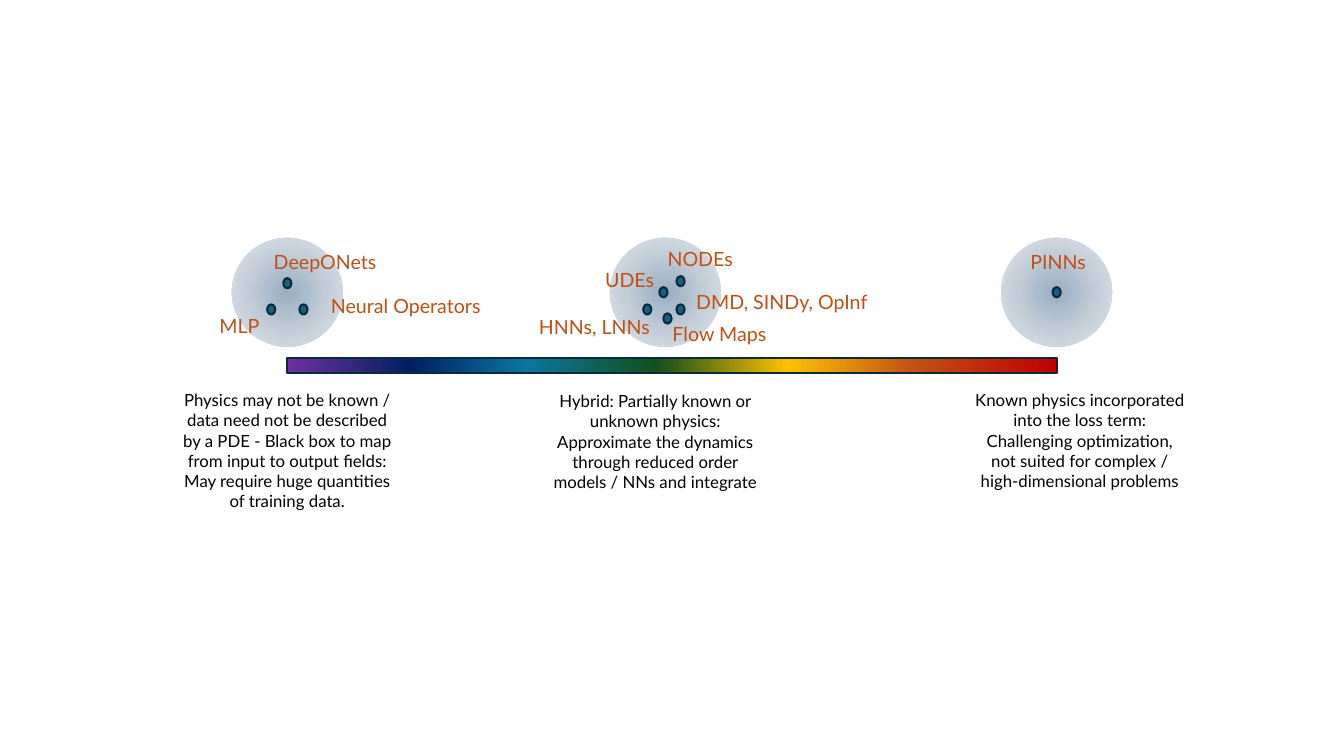
from lxml.etree import Element, SubElement
from pptx import Presentation
from pptx.dml.color import RGBColor
from pptx.enum.shapes import MSO_SHAPE
from pptx.enum.text import MSO_AUTO_SIZE, PP_ALIGN
from pptx.oxml.ns import qn
from pptx.util import Inches, Pt

BLACK = RGBColor(0x00, 0x00, 0x00)
RUST = RGBColor(0xC0, 0x4F, 0x15)
TEAL = RGBColor(0x15, 0x60, 0x82)
OUTLINE = RGBColor(0x09, 0x2A, 0x39)
SPECTRUM = {
    0: RGBColor(0x70, 0x30, 0xA0),
    16: RGBColor(0x00, 0x20, 0x60),
    31: RGBColor(0x0B, 0x76, 0xA0),
    48: RGBColor(0x13, 0x50, 0x1B),
    65: RGBColor(0xFF, 0xC0, 0x00),
    82: RUST,
    100: RGBColor(0xC0, 0x00, 0x00),
}
HALO = {
    0: RGBColor(0x98, 0xAD, 0xC1),
    24: RGBColor(0xAB, 0xBC, 0xCC),
    50: RGBColor(0xC2, 0xCD, 0xD7),
    75: RGBColor(0xD1, 0xDA, 0xE2),
    100: RGBColor(0xE1, 0xE6, 0xEB),
}


def add_figure(kind, left, top, width, height, stops=None, outlined=True):
    figure = page.shapes.add_shape(
        kind, Inches(left), Inches(top), Inches(width), Inches(height))
    figure.shadow.inherit = False
    if outlined:
        figure.line.color.rgb = OUTLINE
        figure.line.width = Pt(1.5)
    else:
        figure.line.fill.background()
    if stops is None:
        figure.fill.solid()
        figure.fill.fore_color.rgb = TEAL
        return
    gradient = Element(qn("a:gradFill"), rotWithShape="1")
    stop_list = SubElement(gradient, qn("a:gsLst"))
    for percent, color in stops.items():
        stop = SubElement(stop_list, qn("a:gs"), pos=str(percent * 1000))
        SubElement(stop, qn("a:srgbClr"), val=str(color))
    if kind == MSO_SHAPE.OVAL:
        circle = SubElement(gradient, qn("a:path"), path="circle")
        SubElement(circle, qn("a:fillToRect"),
                   dict.fromkeys("ltrb", "50000"))
    else:
        SubElement(gradient, qn("a:lin"), ang="0", scaled="0")
    figure._element.spPr.find(qn("a:prstGeom")).addnext(gradient)


def add_text(text, left, top, width, height, size, color):
    box = page.shapes.add_textbox(
        Inches(left), Inches(top), Inches(width), Inches(height))
    box.text_frame.word_wrap = True
    box.text_frame.auto_size = MSO_AUTO_SIZE.SHAPE_TO_FIT_TEXT
    para = box.text_frame.paragraphs[0]
    para.alignment = PP_ALIGN.CENTER
    span = para.add_run()
    span.text = text
    span.font.color.rgb = color
    for name, value in {"name": "Lato", "size": Pt(size)}.items():
        setattr(span.font, name, value)


deck = Presentation()
deck.slide_width = Inches(13.33)
deck.slide_height = Inches(7.5)
page = deck.slides.add_slide(deck.slide_layouts[6])

add_figure(MSO_SHAPE.RECTANGLE, 2.85, 3.55, 7.63, 0.15, SPECTRUM)

for left in (2.3, 6.05, 9.93):
    add_figure(MSO_SHAPE.OVAL, left, 2.36, 1.1, 1.08, HALO, outlined=False)

method_dots = [
    (2.81, 2.76), (2.97, 3.02), (2.65, 3.02),
    (6.54, 2.85), (6.71, 3.02), (6.71, 2.74), (6.38, 3.02), (6.58, 3.11),
    (10.44, 2.85),
]
for left, top in method_dots:
    add_figure(MSO_SHAPE.OVAL, left, top, 0.08, 0.1)

method_labels = [
    ("DeepONets", 2.33, 2.43, 1.79),
    ("Neural Operators", 2.99, 2.87, 2.07),
    ("MLP", 1.48, 3.07, 1.79),
    ("UDEs", 5.35, 2.61, 1.79),
    ("NODEs", 6.05, 2.4, 1.79),
    ("Flow Maps", 6.24, 3.14, 1.79),
    ("HNNs, LNNs", 5, 3.08, 1.79),
    ("DMD, SINDy, OpInf", 6.78, 2.83, 1.95),
    ("PINNs", 9.6, 2.43, 1.79),
]
for text, left, top, width in method_labels:
    add_text(text, left, top, width, 0.34, 14, RUST)

descriptions = [
    ("Physics may not be known / data need not be described by a PDE - "
     "Black box to map from input to output fields: "
     "May require huge quantities of training data.", 1.7, 3.82, 1.31),
    ("Hybrid: Partially known or unknown physics: Approximate the dynamics "
     "through reduced order models / NNs and integrate", 5.35, 3.83, 1.14),
    ("Known physics incorporated into the loss term: Challenging "
     "optimization, not suited for complex / high-dimensional problems",
     9.56, 3.82, 1.11),
]
for text, left, top, height in descriptions:
    add_text(text, left, top, 2.3, height, 12, BLACK)

deck.save("out.pptx")
